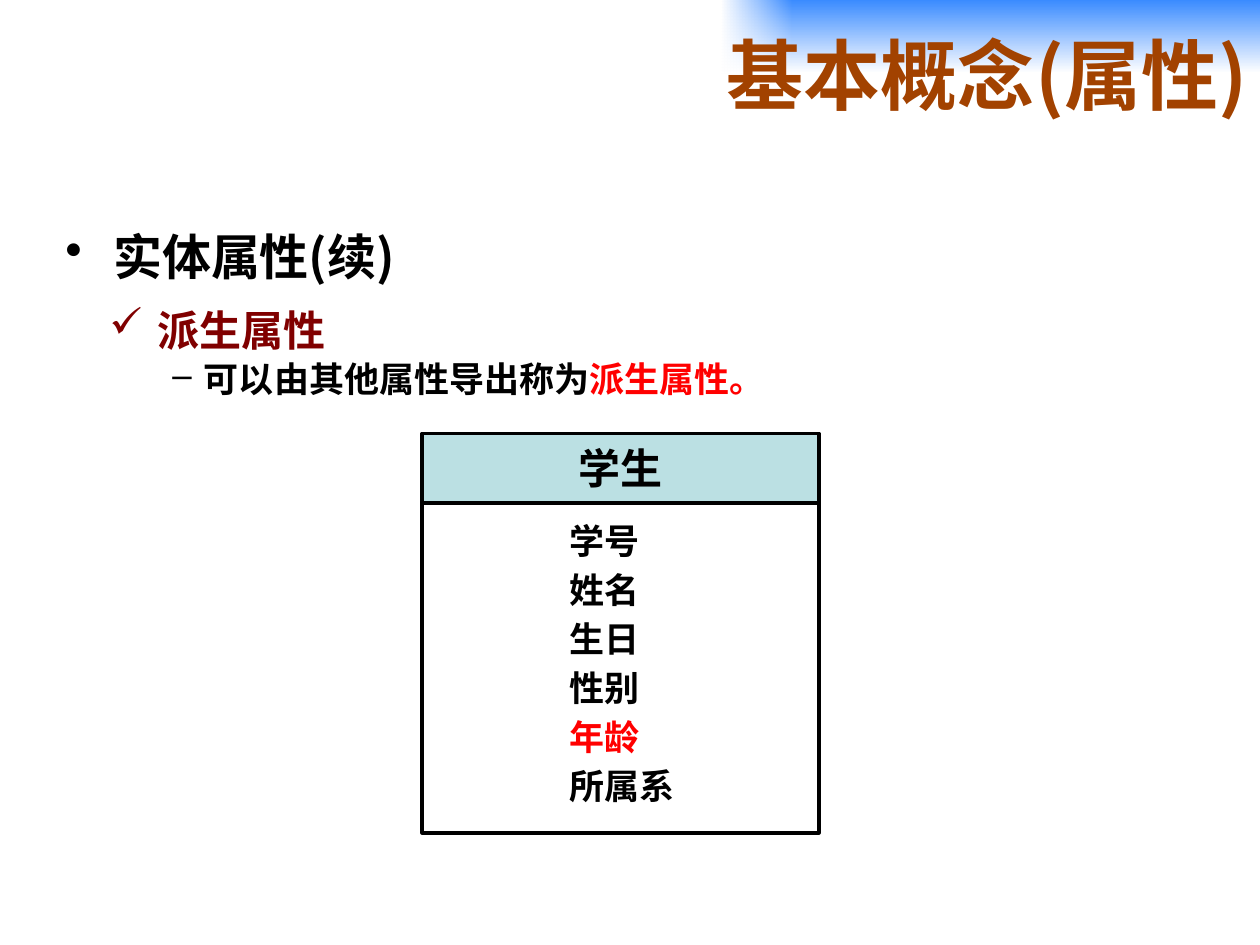
from lxml.etree import SubElement as Sub
from pptx import Presentation
from pptx.dml.color import RGBColor as RGB
from pptx.enum.shapes import MSO_SHAPE as Shape
from pptx.enum.text import MSO_ANCHOR as Anchor, PP_ALIGN as Align
from pptx.oxml.ns import qn
from pptx.util import Inches, Pt

BLACK = RGB(0, 0, 0)
WHITE = RGB(255, 255, 255)
RED = RGB(255, 0, 0)
MAROON = RGB(128, 0, 0)
BROWN = RGB(0xA2, 0x42, 0x00)
AQUA = RGB(0xBB, 0xE0, 0xE3)
BLUE = RGB(0x3A, 0x8B, 0xFF)
SANS = "Noto Sans CJK JP"
HEAD = "Noto Sans CJK SC"


def add_text(frame, *runs, size=20, font=SANS, align=Align.LEFT, gap=20,
             lines=None, bullet=None, left=0, hang=0):
    """Add a paragraph of (text, colour) runs; gap is a percentage."""
    first = frame.paragraphs[0]
    para = frame.add_paragraph() if first.runs else first
    para.alignment = align
    if lines:
        para.line_spacing = lines
    props = para._p.get_or_add_pPr()
    if gap:
        Sub(Sub(props, qn("a:spcBef")), qn("a:spcPct"), val=str(gap * 1000))
    if bullet:
        props.set("marL", str(Inches(left)))
        props.set("indent", str(-Inches(hang)))
        Sub(props, qn("a:buChar"), char=bullet)
    for words, color in runs:
        run = para.add_run()
        run.text = words
        run.font.size = Pt(size)
        run.font.bold = True
        run.font.name = font
        run.font.color.rgb = color
        Sub(run._r.get_or_add_rPr(), qn("a:ea"), typeface=font)


def add_frame(slide, x, y, w, h, wrap=True, anchor=Anchor.TOP):
    box = slide.shapes.add_textbox(Inches(x), Inches(y), Inches(w), Inches(h))
    frame = box.text_frame
    frame.word_wrap = wrap
    frame.vertical_anchor = anchor
    return frame


def add_rect(slide, x, y, w, h, fill=WHITE, line=None):
    rect = slide.shapes.add_shape(
        Shape.RECTANGLE, Inches(x), Inches(y), Inches(w), Inches(h))
    rect.shadow.inherit = False
    rect.fill.solid()
    rect.fill.fore_color.rgb = fill
    if line is None:
        rect.line.fill.background()
    else:
        rect.line.color.rgb = line
        rect.line.width = Pt(2)
    return rect


def shade(rect, start, end, angle, clear=False):
    """Fill with a two-colour gradient, its end transparent if clear."""
    rect.fill.gradient()
    rect.fill.gradient_angle = angle
    stops = rect.fill.gradient_stops
    for stop, color, place in zip(stops, (start, end), (0, 1)):
        stop.color.rgb = color
        stop.position = place
    if clear:
        tint = stops[1]._gs.find(qn("a:srgbClr"))
        Sub(tint, qn("a:alpha"), val="0")


def add_glow(slide, x, y, w, h):
    # Blue band fading downwards, then softened at its left edge
    shade(add_rect(slide, x, y, w, h), BLUE, WHITE, 270)
    shade(add_rect(slide, x, y, 0.55, h), WHITE, WHITE, 0, clear=True)


def add_title(slide, x, y, w, h):
    frame = add_frame(slide, x, y, w, h, anchor=Anchor.MIDDLE)
    add_text(frame, ("基本概念(属性)", BROWN), size=44, font=HEAD,
             align=Align.RIGHT, gap=0)


def add_points(slide, x, y, w, h):
    # Second and third levels on a white panel
    panel = add_rect(slide, x, y + 0.66, w, h - 0.66)
    frame = panel.text_frame
    frame.word_wrap = True
    frame.vertical_anchor = Anchor.TOP
    add_text(frame, ("派生属性", MAROON), size=24, lines=0.9,
             bullet="✓", left=0.88, hang=0.38)
    add_text(frame, ("可以由其他属性导出称为", BLACK), ("派生属性。", RED),
             lines=0.9, bullet="–", left=1.25, hang=0.25)
    # First level
    frame = add_frame(slide, x + 0.15, y, w - 0.64, 1.06)
    add_text(frame, ("实体属性(续)", BLACK), size=28,
             bullet="•", left=0.38, hang=0.38)


def add_entity(slide, x, y, w, h, name, fields, derived):
    top = 0.55
    # Name bar
    bar = add_rect(slide, x, y, w, top, AQUA, BLACK)
    bar.text_frame.vertical_anchor = Anchor.MIDDLE
    add_text(bar.text_frame, (name, BLACK), size=24, align=Align.CENTER)
    # Field list
    add_rect(slide, x, y + top, w, h - top, WHITE, BLACK)
    frame = add_frame(slide, x + 1.07, y + top + 0.08, 1.05, h - top - 0.16,
                      wrap=False)
    for field in fields:
        add_text(frame, (field, RED if field == derived else BLACK))


def main():
    deck = Presentation()
    deck.slide_width, deck.slide_height = Inches(10), Inches(7.5)
    slide = deck.slides.add_slide(deck.slide_layouts[6])
    add_glow(slide, 5.73, 0, 4.27, 0.58)
    add_title(slide, 1.46, 0, 8.54, 1.17)
    add_points(slide, 0.27, 1.75, 9.55, 4)
    add_entity(slide, 3.35, 3.44, 3.15, 3.17, "学生",
               ["学号", "姓名", "生日", "性别", "年龄", "所属系"], "年龄")
    deck.save("out.pptx")


if __name__ == "__main__":
    main()
